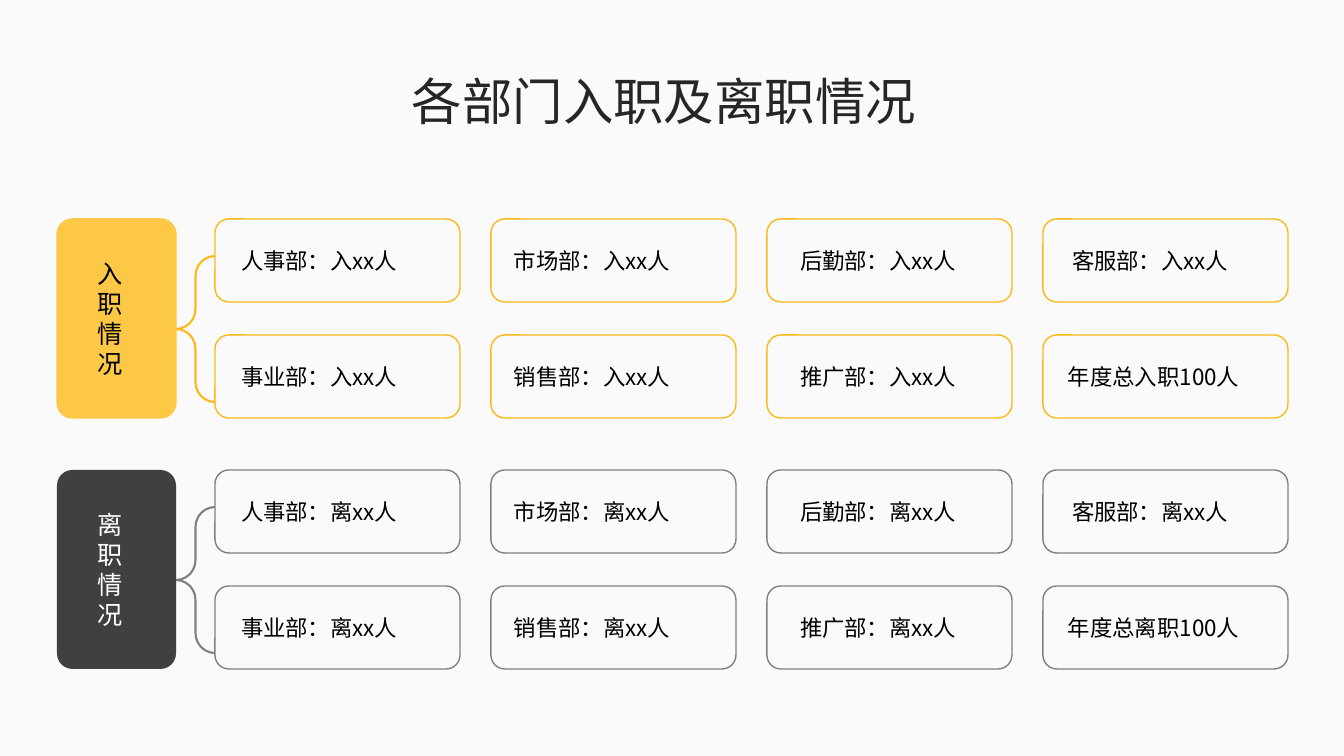
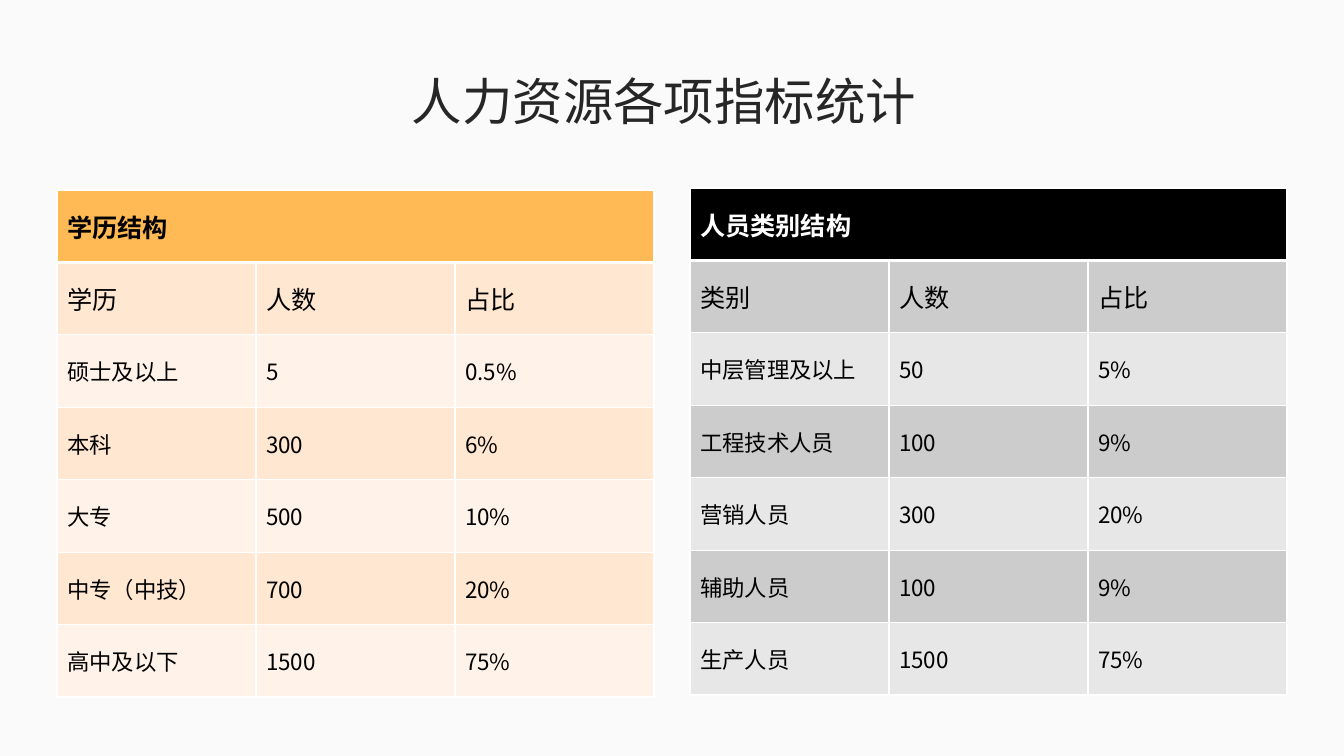
"""Build two staff slides: joiners and leavers by team, and headcount tables."""
from dataclasses import dataclass

from lxml import etree
from pptx import Presentation
from pptx.dml.color import RGBColor
from pptx.enum.shapes import MSO_SHAPE
from pptx.enum.text import MSO_ANCHOR, PP_ALIGN
from pptx.oxml.ns import qn
from pptx.util import Emu, Pt

ROUND, BRACE = MSO_SHAPE.ROUNDED_RECTANGLE, MSO_SHAPE.LEFT_BRACE
MIDDLE = MSO_ANCHOR.MIDDLE
LEFT, JUST = PP_ALIGN.LEFT, PP_ALIGN.JUSTIFY

WIDE, HIGH = 1344, 756
SCALE = 12192000 / WIDE
FACE = "Noto Sans CJK SC"
PAPER, INK, BLACK, WHITE = "FBFAFB", "262626", "000000", "FFFFFF"

TITLE = {"size": Pt(36), "bold": False}
HEAD = {"size": Pt(18), "bold": True}
LEAD = {"size": Pt(18), "bold": False}
BODY = {"size": Pt(16), "bold": False}

LABEL_X, LABEL_W, LABEL_H = 215, 245, 83
STEP_X, STEP_Y = 276, 116
PADS = [[22, 19, 29, 25], [22, 19, 29, 21]]


@dataclass
class Box:
    """Place and size in px."""
    x: int
    y: int
    w: int
    h: int


@dataclass
class Group:
    """A card with a brace and a grid of labels."""
    top: int
    verb: str
    fill: str
    edge: str
    line: str | None
    ink: str


@dataclass
class Sheet:
    """A table with a banner row and banded rows."""
    box: Box
    name: str
    fill: str
    ink: str
    bands: tuple[str, str]
    rows: list[list[str]]


GROUPS = [
    Group(219, "入", "FCC846", "FBB817", "FCC846", BLACK),
    Group(470, "离", "404040", "808080", None, WHITE),
]
TEAMS = [
    ["人事部", "市场部", "后勤部", "客服部"],
    ["事业部", "销售部", "推广部"],
]
SHEETS = [
    Sheet(Box(57, 190, 597, 507), "学历结构", "FFBA55", BLACK, ("FFE7D1", "FFF3E9"), [
        ["学历", "人数", "占比"],
        ["硕士及以上", "5", "0.5%"],
        ["本科", "300", "6%"],
        ["大专", "500", "10%"],
        ["中专（中技）", "700", "20%"],
        ["高中及以下", "1500", "75%"],
    ]),
    Sheet(Box(690, 188, 597, 507), "人员类别结构", BLACK, WHITE, ("CCCCCC", "E7E7E7"), [
        ["类别", "人数", "占比"],
        ["中层管理及以上", "50", "5%"],
        ["工程技术人员", "100", "9%"],
        ["营销人员", "300", "20%"],
        ["辅助人员", "100", "9%"],
        ["生产人员", "1500", "75%"],
    ]),
]


def px(size: int) -> Emu:
    """Turn px into EMU."""
    return Emu(round(size * SCALE))


def area(box: Box) -> list[Emu]:
    """Give left, top, width and height in EMU."""
    return [px(v) for v in (box.x, box.y, box.w, box.h)]


def paint(fill, tone: str) -> None:
    """Give a fill one solid colour."""
    fill.solid()
    fill.fore_color.rgb = RGBColor.from_string(tone)


def write(frame, text: str, form: dict, ink: str, align=LEFT):
    """Set the one paragraph of a frame and return it."""
    para = frame.paragraphs[0]
    para.alignment = align
    run = para.add_run()
    run.text = text
    for key, val in {"name": FACE, **form}.items():
        setattr(run.font, key, val)
    paint(run.font.fill, ink)
    etree.SubElement(run.font._element, qn("a:ea"), typeface=FACE)
    return para


def inset(frame, left: int, right: int) -> None:
    """Centre a frame upright and set its side margins."""
    form = {
        "word_wrap": True, "vertical_anchor": MIDDLE,
        "margin_left": px(left), "margin_right": px(right),
        "margin_top": 0, "margin_bottom": 0,
    }
    for key, val in form.items():
        setattr(frame, key, val)


def draw(slide, kind, box: Box, fill: str | None, line: str | None,
         width: float = 1, bends: tuple[float, ...] = ()):
    """Add a flat preset shape."""
    shape = slide.shapes.add_shape(kind, *area(box))
    shape.shadow.inherit = False
    for i, bend in enumerate(bends):
        shape.adjustments[i] = bend
    if fill:
        paint(shape.fill, fill)
    else:
        shape.fill.background()
    if line:
        paint(shape.line.fill, line)
        shape.line.width = Pt(width)
    else:
        shape.line.fill.background()
    return shape


def start(deck, title: str):
    """Add a blank slide with its title."""
    slide = deck.slides.add_slide(deck.slide_layouts[6])
    frame = slide.shapes.add_textbox(*area(Box(402, 64, 539, 72))).text_frame
    inset(frame, 10, 10)
    write(frame, title, TITLE, INK, JUST)
    return slide


def cluster(slide, group: Group) -> None:
    """Draw a card, its brace and its labels."""
    draw(slide, BRACE, Box(176, group.top + 37, 39, 146), None, group.edge,
         1.5, (0.51, 0.5))
    card = draw(slide, ROUND, Box(57, group.top, 119, 199), group.fill,
                group.line, bends=(0.13,))
    inset(card.text_frame, 36, 36)
    para = write(card.text_frame, f"{group.verb}职情况", LEAD, group.ink)
    para.line_spacing = Pt(21.6)
    rows = [[f"{team}：{group.verb}xx人" for team in row] for row in TEAMS]
    rows[-1].append(f"年度总{group.verb}职100人")
    for r, row in enumerate(rows):
        for c, text in enumerate(row):
            box = Box(LABEL_X + c * STEP_X, group.top + r * STEP_Y, LABEL_W, LABEL_H)
            frame = draw(slide, ROUND, box, PAPER, group.edge).text_frame
            inset(frame, PADS[r][c], 0)
            write(frame, text, BODY, BLACK, JUST)


def border(cell, top: int, base: int) -> None:
    """Give a cell white borders, with top and base widths in points."""
    props = cell._tc.get_or_add_tcPr()
    for side, width in {"L": 1, "R": 1, "T": top, "B": base}.items():
        line = etree.SubElement(props, qn(f"a:ln{side}"), w=str(Pt(width)))
        solid = etree.SubElement(line, qn("a:solidFill"))
        etree.SubElement(solid, qn("a:srgbClr"), val=WHITE)


def grid(slide, sheet: Sheet) -> None:
    """Draw a sheet as a table."""
    rows = [[sheet.name, "", ""], *sheet.rows]
    table = slide.shapes.add_table(len(rows), 3, *area(sheet.box)).table
    table.first_row = table.horz_banding = False
    table.cell(0, 0).merge(table.cell(0, 2))
    forms = [HEAD, LEAD] + [BODY] * (len(rows) - 2)
    for r, row in enumerate(rows):
        fill = sheet.bands[(r - 1) % 2] if r else sheet.fill
        for c, text in enumerate(row):
            cell = table.cell(r, c)
            border(cell, 3 if r == 1 else 1, 1 if r else 3)
            paint(cell.fill, fill)
            cell.vertical_anchor = MIDDLE
            if text:
                write(cell.text_frame, text, forms[r], BLACK if r else sheet.ink)


def main() -> None:
    """Build and save the deck."""
    deck = Presentation()
    deck.slide_width, deck.slide_height = px(WIDE), px(HIGH)
    paint(deck.slide_master.background.fill, PAPER)
    slide = start(deck, "各部门入职及离职情况")
    for group in GROUPS:
        cluster(slide, group)
    slide = start(deck, "人力资源各项指标统计")
    for sheet in SHEETS:
        grid(slide, sheet)
    deck.save("out.pptx")


if __name__ == "__main__":
    main()
